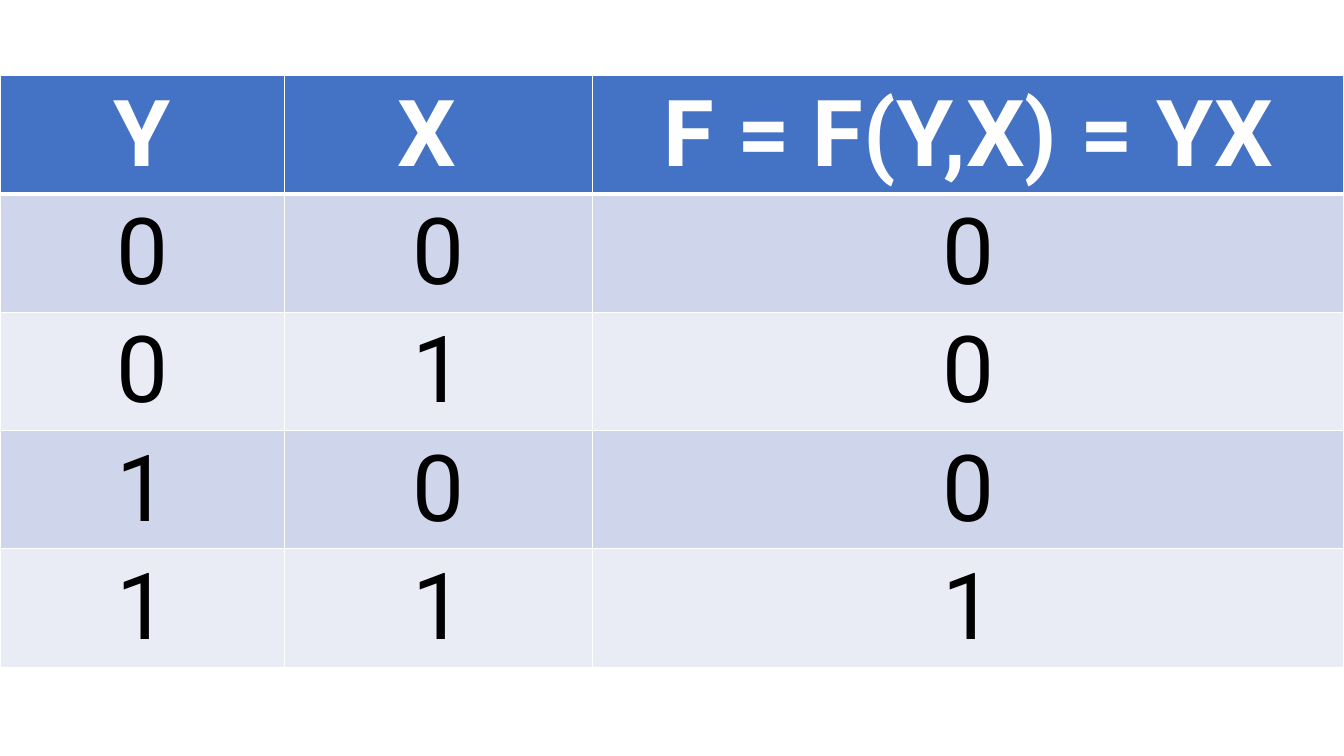
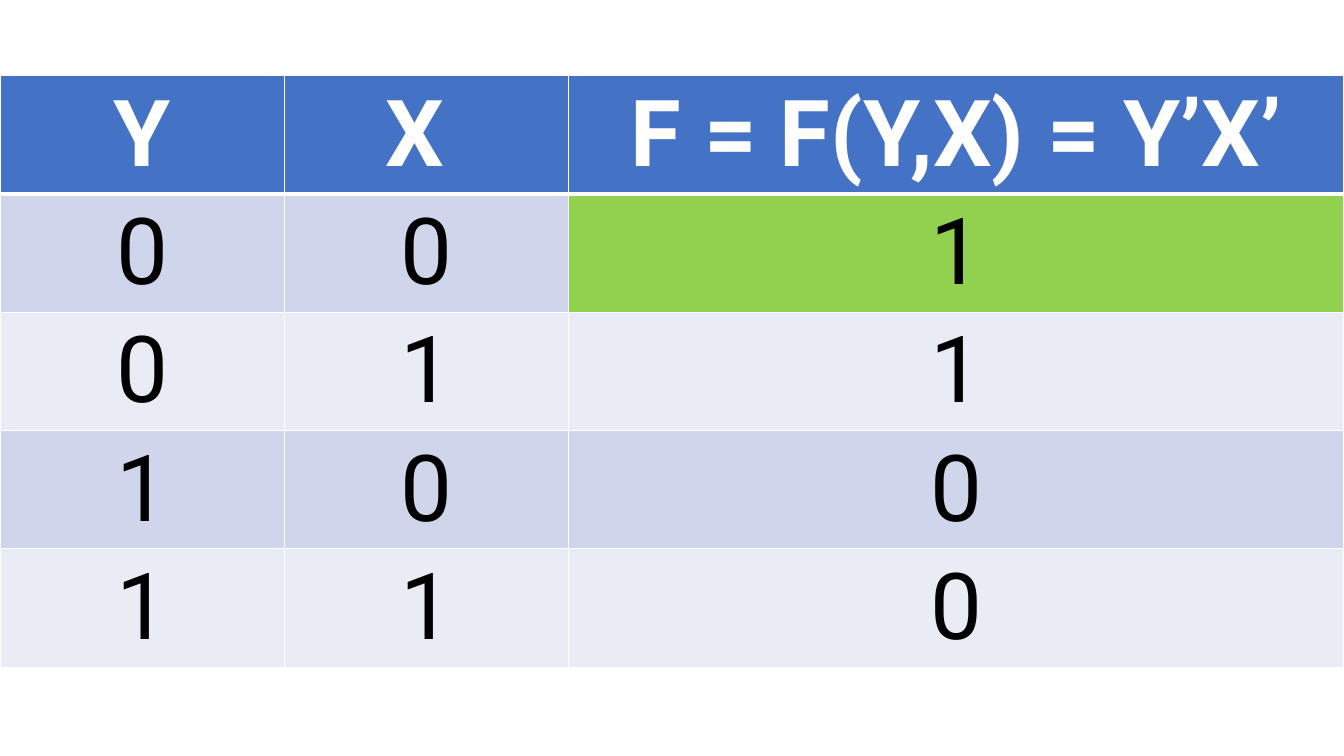
from dataclasses import dataclass
from itertools import product

from lxml.etree import SubElement
from pptx import Presentation
from pptx.dml.color import RGBColor
from pptx.enum.text import PP_ALIGN
from pptx.oxml.ns import qn
from pptx.util import Inches, Pt


@dataclass(frozen=True)
class Theme:
    """Colours, type and line widths shared by the slides."""

    font: str = "Roboto"
    size: int = 66
    header: str = "4472C4"
    header_text: str = "FFFFFF"
    bands: tuple = ("CFD5EA", "E9EBF5")
    text: str = "000000"
    highlight: str = "92D050"
    rule: str = "FFFFFF"
    thin: int = 1
    thick: int = 3


THEME = Theme()
SLIDE_SIZE = (13.33, 7.5)
TABLE_BOX = (0, 0.75, 13.33, 5.87)
INPUTS = list(product("01", repeat=2))


def add_border(cell, side, width):
    """Draw one edge (L, R, T or B) of a cell."""
    edge = SubElement(cell._tc.get_or_add_tcPr(), qn(f"a:ln{side}"), w=str(Pt(width)))
    SubElement(SubElement(edge, qn("a:solidFill")), qn("a:srgbClr"), val=THEME.rule)


def style_cell(cell, value, row, fill):
    """Write a value and style its cell as header or body."""
    is_header = row == 0
    widths = {
        "L": THEME.thin,
        "R": THEME.thin,
        "T": THEME.thick if row == 1 else THEME.thin,
        "B": THEME.thick if is_header else THEME.thin,
    }
    for side, width in widths.items():
        add_border(cell, side, width)
    cell.fill.solid()
    cell.fill.fore_color.rgb = RGBColor.from_string(fill)
    cell.text = value
    paragraph = cell.text_frame.paragraphs[0]
    paragraph.alignment = PP_ALIGN.CENTER
    font = paragraph.font
    font.name = THEME.font
    font.size = Pt(THEME.size)
    font.bold = is_header
    font.color.rgb = RGBColor.from_string(THEME.header_text if is_header else THEME.text)


def add_truth_table(slide, box, formula, outputs, input_widths, highlighted=()):
    """Fill the box with a truth table for a function of Y and X."""
    left, top, width, height = box
    rows = [("Y", "X ", formula)]
    rows += [(y, x, output) for (y, x), output in zip(INPUTS, outputs)]
    table = slide.shapes.add_table(
        len(rows), 3, Inches(left), Inches(top), Inches(width), Inches(height)
    ).table
    column_widths = (*input_widths, width - sum(input_widths))
    for column, column_width in zip(table.columns, column_widths):
        column.width = Inches(column_width)
    for r, values in enumerate(rows):
        row_fill = THEME.bands[(r - 1) % 2] if r else THEME.header
        for c, value in enumerate(values):
            fill = THEME.highlight if (r, c) in highlighted else row_fill
            style_cell(table.cell(r, c), value, r, fill)


def main():
    """Build and save the presentation."""
    presentation = Presentation()
    presentation.slide_width, presentation.slide_height = map(Inches, SLIDE_SIZE)
    blank = presentation.slide_layouts[6]
    add_truth_table(
        presentation.slides.add_slide(blank), TABLE_BOX,
        "F = F(Y,X) = YX", "0001", (2.82, 3.06),
    )
    add_truth_table(
        presentation.slides.add_slide(blank), TABLE_BOX,
        "F = F(Y,X) = Y’X’", "1100", (2.82, 2.82), highlighted={(1, 2)},
    )
    presentation.save("out.pptx")


if __name__ == "__main__":
    main()
